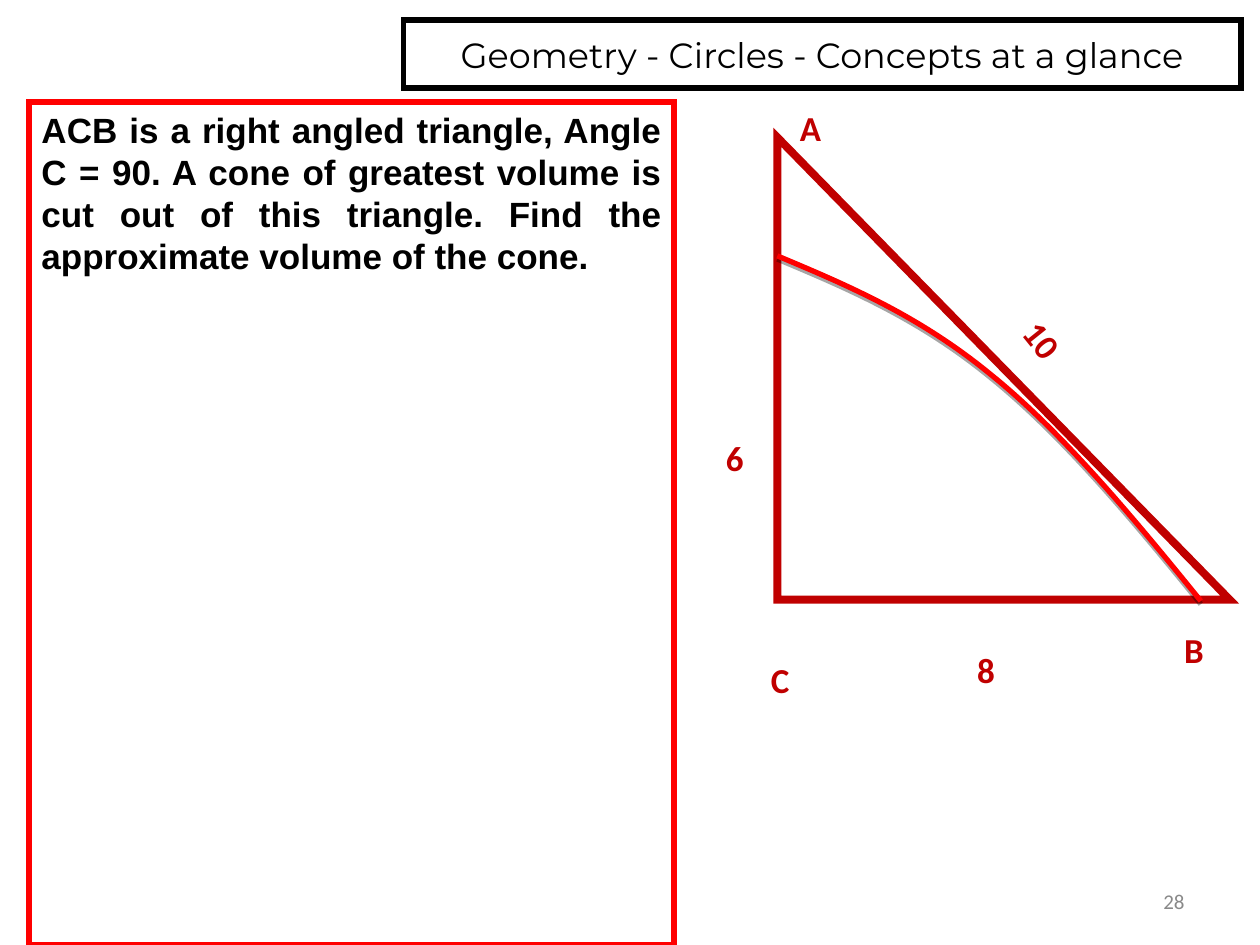
from lxml import etree
from pptx import Presentation
from pptx import util as u
from pptx.dml.color import RGBColor
from pptx.enum import shapes, text
from pptx.oxml.ns import qn

Pt = u.Pt
LEFT, CENTER, RIGHT, JUSTIFY = (text.PP_ALIGN.LEFT, text.PP_ALIGN.CENTER,
                                text.PP_ALIGN.RIGHT, text.PP_ALIGN.JUSTIFY)
TOP, MIDDLE = text.MSO_ANCHOR.TOP, text.MSO_ANCHOR.MIDDLE
RECT = shapes.MSO_SHAPE.RECTANGLE
TRIANGLE = shapes.MSO_SHAPE.RIGHT_TRIANGLE
DARK_RED = "C00000"
RED = "FF0000"
BLACK = "000000"


def rgb(value):
    return RGBColor.from_string(value)


class Deck:
    label_style = {"name": "Calibri", "size": Pt(20), "bold": True}

    def __init__(self, width, height):
        self.prs = Presentation()
        self.prs.slide_width, self.prs.slide_height = Pt(width), Pt(height)
        self.s = self.prs.slides.add_slide(self.prs.slide_layouts[6])

    def outline(self, sp, color, width):
        sp.shadow.inherit = False
        sp.fill.background()
        sp.line.color.rgb = rgb(color)
        sp.line.width = Pt(width)
        ln = sp._element.spPr.find(qn("a:ln"))
        etree.SubElement(ln, qn("a:miter"), lim="800000")

    def shape(self, kind, box, color, width):
        sp = self.s.shapes.add_shape(kind, *map(Pt, box))
        self.outline(sp, color, width)
        return sp

    def set_text(self, sp, content, color, style, align, anchor=MIDDLE,
                 right=7.2):
        tf = sp.text_frame
        frame = {"word_wrap": True, "vertical_anchor": anchor,
                 "margin_left": Pt(7.2), "margin_right": Pt(right),
                 "margin_top": Pt(3.6), "margin_bottom": Pt(3.6)}
        for key, value in frame.items():
            setattr(tf, key, value)
        p = tf.paragraphs[0]
        p.alignment = align
        r = p.add_run()
        r.text = content
        for key, value in style.items():
            setattr(r.font, key, value)
        r.font.color.rgb = rgb(color)

    def label(self, content, box, align=LEFT, color=DARK_RED, style=None,
              rotation=0, right=7.2):
        sp = self.s.shapes.add_textbox(*map(Pt, box))
        sp.rotation = rotation
        self.set_text(sp, content, color, style or self.label_style, align,
                      right=right)

    def curve(self, start, points, color, width):
        fb = self.s.shapes.build_freeform(*map(Pt, start))
        fb.add_line_segments([(Pt(x), Pt(y)) for x, y in points], close=False)
        sp = fb.convert_to_shape()
        self.outline(sp, color, width)
        segments = list(sp._element.iter(qn("a:lnTo")))
        track = segments[0].getparent()
        for i in range(0, len(segments), 3):
            bezier = etree.SubElement(track, qn("a:cubicBezTo"))
            for segment in segments[i:i + 3]:
                bezier.append(segment[0])
                track.remove(segment)
        effects = sp._element.spPr.find(qn("a:effectLst"))
        shadow = etree.SubElement(effects, qn("a:outerShdw"), blurRad="0",
                                  dist=str(Pt(1.8)), dir="5400000",
                                  rotWithShape="0")
        shade = etree.SubElement(shadow, qn("a:srgbClr"), val=BLACK)
        etree.SubElement(shade, qn("a:alpha"), val="35000")


def main():
    deck = Deck(720, 540)

    question = deck.shape(RECT, (16.6, 58.3, 368.6, 481.7), RED, 3)
    deck.set_text(question,
                  "ACB is a right angled triangle, Angle C = 90. A cone of "
                  "greatest volume is cut out of this triangle. Find the "
                  "approximate volume of the cone.",
                  BLACK, {"name": "Arial", "size": Pt(20), "bold": True},
                  JUSTIFY, TOP)

    deck.label("28", (516.2, 500.4, 167.8, 28.8), RIGHT, "898989",
               {"name": "Calibri", "size": Pt(12)})

    title = deck.shape(RECT, (230.4, 11.5, 478.8, 38.9), BLACK, 3)
    deck.set_text(title, "Geometry - Circles - Concepts at a glance", BLACK,
                  {"name": "Montserrat", "size": Pt(20)}, CENTER)

    deck.shape(TRIANGLE, (444.2, 78.5, 258.5, 264.2), DARK_RED, 4.5)
    vertices = {"A": (450, 56.2), "C": (433.4, 371.5), "B": (669.6, 354.2)}
    for name, corner in vertices.items():
        deck.label(name, (*corner, 28.1, 33.8))

    deck.label("10", (554.4, 170.6, 82.8, 47.5), CENTER, rotation=51.3)
    deck.label("8", (534.2, 360, 67.7, 44.6), CENTER, right=16.2)
    deck.label("6", (383, 244.8, 82.8, 33.1), CENTER, right=16.2)

    deck.curve((444.2, 146.2),
               [(485.3, 163.4), (525.6, 180.7), (565.9, 213.8),
                (606.2, 246.2), (646.6, 294.5), (686.2, 343.4)], RED, 3)

    deck.prs.save("out.pptx")


if __name__ == "__main__":
    main()
